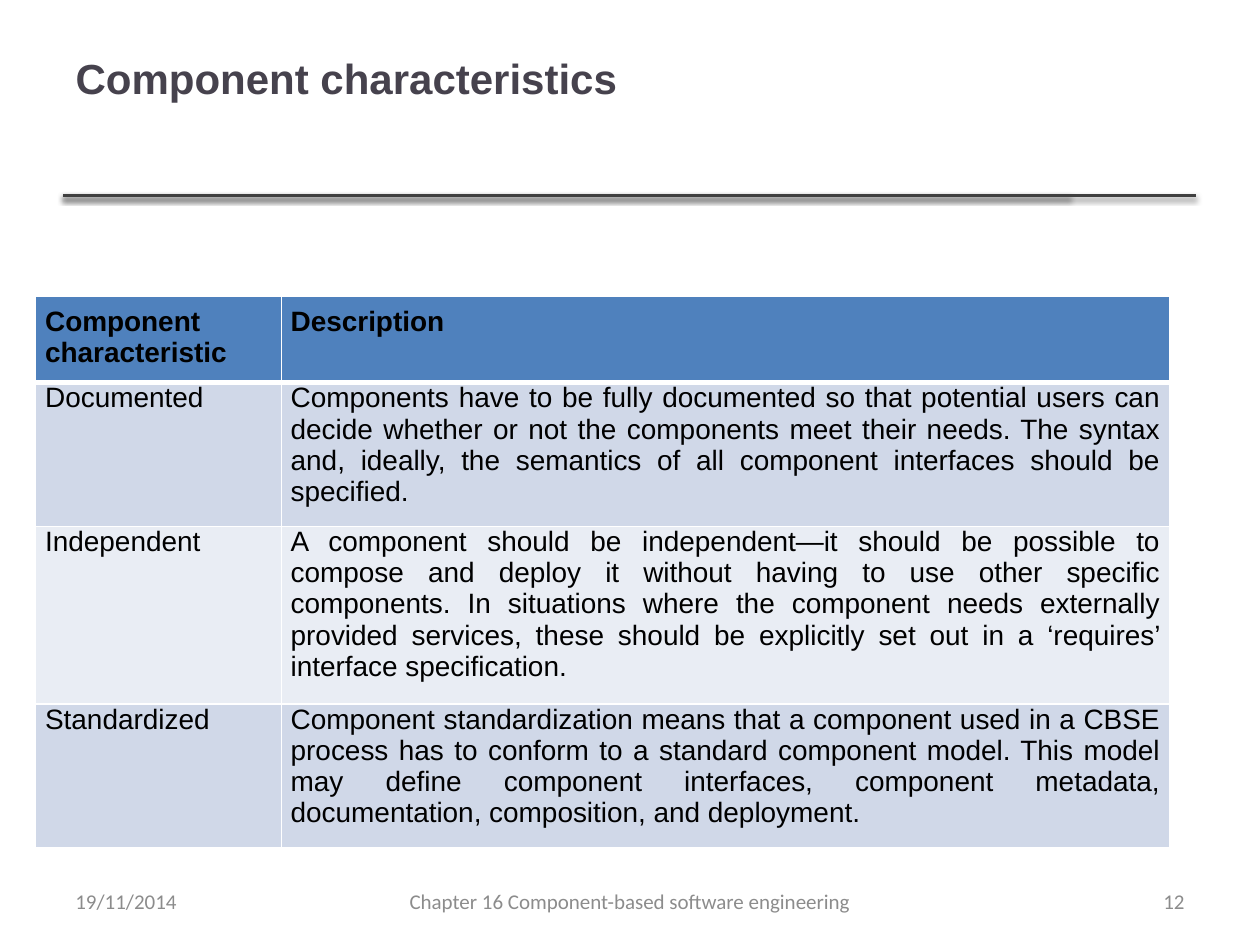
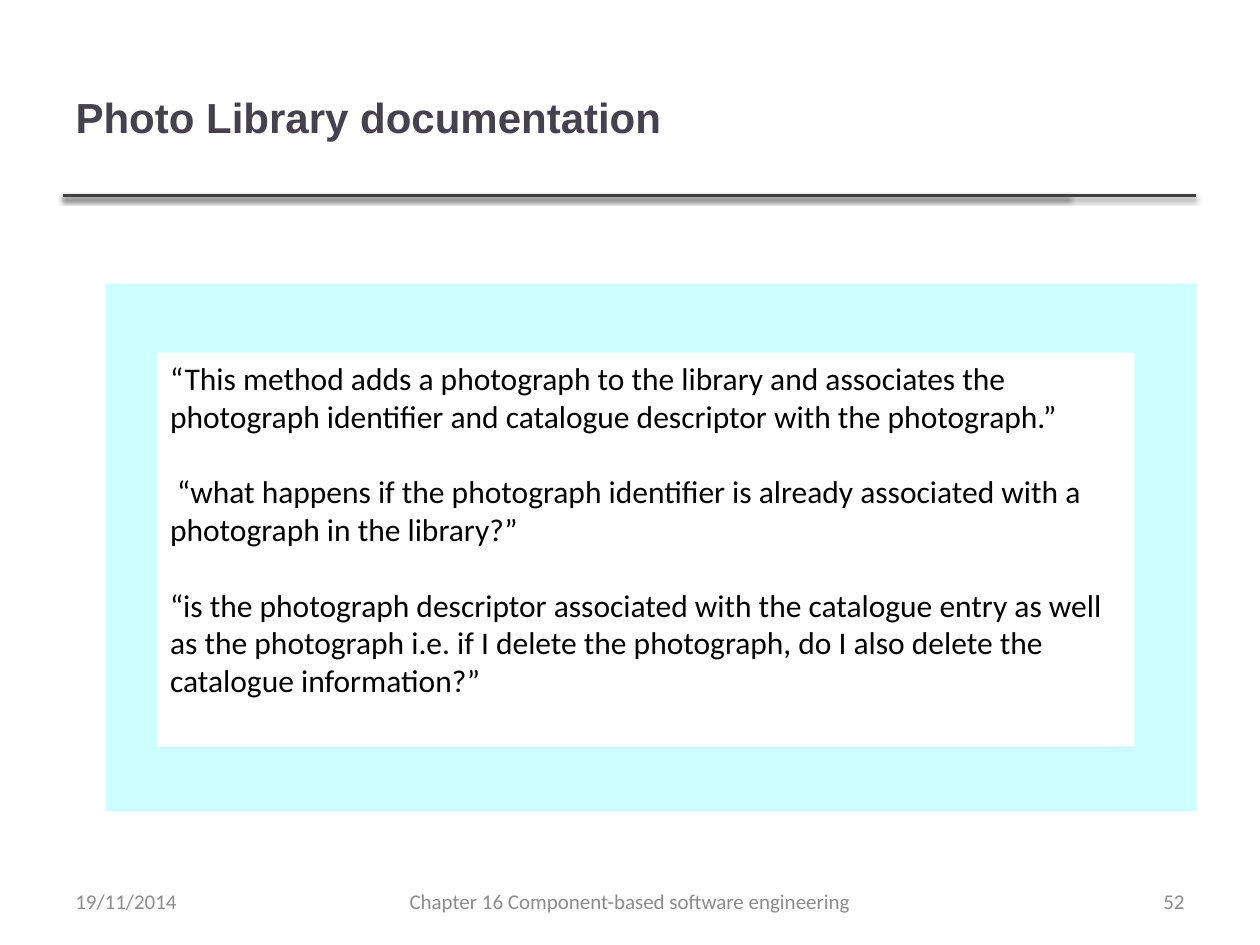
from dataclasses import dataclass

from lxml import etree
from pptx import Presentation
from pptx import util as u
from pptx.dml.color import RGBColor
from pptx.enum import shapes, text
from pptx.oxml import parse_xml
from pptx.oxml.ns import nsdecls, qn


@dataclass(frozen=True)
class Theme:
    heading_font: str = "Arial"
    body_font: str = "Calibri"
    heading: str = "46424D"
    rule: str = "404040"
    footer: str = "8C8C8C"
    ink: str = "000000"
    paper: str = "FFFFFF"
    header_row: str = "4F81BD"
    odd_row: str = "D0D8E8"
    even_row: str = "E9EDF4"
    panel: str = "CCFFFF"
    title_size: int = 24
    quote_size: int = 18
    table_size: int = 16
    footer_size: int = 12


theme = Theme()
Align = text.PP_ALIGN


def write(paragraph, words, font, size, color, bold=False, align=Align.LEFT):
    paragraph.text = words
    paragraph.alignment = align
    paragraph.font.name = font
    paragraph.font.size = u.Pt(size)
    paragraph.font.bold = bold
    paragraph.font.color.rgb = RGBColor.from_string(color)


def paint(part, color):
    part.fill.solid()
    part.fill.fore_color.rgb = RGBColor.from_string(color)


deck = Presentation()
deck.slide_width, deck.slide_height = u.Cm(25.4), u.Cm(19.05)
title_only = deck.slide_layouts[5]

pages = [
    ("Component characteristics", -0.03, 22.86, "12"),
    ("Photo Library documentation", 0.76, 20.27, "52"),
]
for heading, top, width, number in pages:
    slide = deck.slides.add_slide(title_only)

    for rule_end in (21.56, 24.1):
        rule = slide.shapes.add_connector(
            shapes.MSO_CONNECTOR.STRAIGHT,
            u.Cm(1.27), u.Cm(3.94), u.Cm(rule_end), u.Cm(3.94))
        rule.line.width = u.Pt(2)
        rule.line.color.rgb = RGBColor.from_string(theme.rule)
        rule._element.spPr.append(parse_xml(
            f'<a:effectLst {nsdecls("a")}>'
            '<a:outerShdw blurRad="39370" dist="20320" dir="5400000" rotWithShape="0">'
            f'<a:srgbClr val="{theme.ink}"><a:alpha val="38000"/></a:srgbClr>'
            '</a:outerShdw></a:effectLst>'))

    title = slide.shapes.title
    title.left, title.top = u.Cm(1.27), u.Cm(top)
    title.width, title.height = u.Cm(width), u.Cm(3.18)
    title.text_frame.vertical_anchor = text.MSO_ANCHOR.MIDDLE
    write(title.text_frame.paragraphs[0], heading, theme.heading_font,
          theme.title_size, theme.heading, bold=True)

    footers = [
        ("19/11/2014", 1.27, 5.93, Align.LEFT),
        ("Chapter 16 Component-based software engineering", 7.2, 11, Align.CENTER),
        (number, 18.2, 5.93, Align.RIGHT),
    ]
    for words, left, width, align in footers:
        footer = slide.shapes.add_textbox(
            u.Cm(left), u.Cm(17.65), u.Cm(width), u.Cm(1.02)).text_frame
        footer.word_wrap = True
        footer.vertical_anchor = text.MSO_ANCHOR.MIDDLE
        write(footer.paragraphs[0], words, theme.body_font,
              theme.footer_size, theme.footer, align=align)

characteristics_slide, documentation_slide = deck.slides

characteristics = [
    ("Component characteristic", "Description"),
    ("Documented",
     "Components have to be fully documented so that potential users can decide "
     "whether or not the components meet their needs. The syntax and, ideally, "
     "the semantics of all component interfaces should be specified."),
    ("Independent",
     "A component should be independent—it should be possible to compose and "
     "deploy it without having to use other specific components. In situations "
     "where the component needs externally provided services, these should be "
     "explicitly set out in a ‘requires’ interface specification."),
    ("Standardized",
     "Component standardization means that a component used in a CBSE process "
     "has to conform to a standard component model. This model may define "
     "component interfaces, component metadata, documentation, composition, "
     "and deployment."),
]
row_heights = [1.64, 2.71, 3.33, 2.71]
row_fills = [theme.header_row, theme.odd_row, theme.even_row, theme.odd_row]

table = characteristics_slide.shapes.add_table(
    len(characteristics), 2, u.Cm(0.72), u.Cm(5.98),
    u.Cm(22.86), u.Cm(sum(row_heights))).table
table.columns[0].width, table.columns[1].width = u.Cm(4.95), u.Cm(17.91)
for row_number, entry in enumerate(characteristics):
    is_header = row_number == 0
    table.rows[row_number].height = u.Cm(row_heights[row_number])
    for column, words in enumerate(entry):
        cell = table.cell(row_number, column)
        cell.margin_left = cell.margin_right = cell.margin_bottom = u.Cm(0.19)
        cell.margin_top = u.Cm(0.19 if is_header else 0)
        write(cell.text_frame.paragraphs[0], words, theme.heading_font,
              theme.table_size, theme.ink, is_header, Align.JUSTIFY)
        borders = cell._tc.get_or_add_tcPr()
        for side in ("lnL", "lnR", "lnT", "lnB"):
            below_header = (row_number, side) in ((0, "lnB"), (1, "lnT"))
            border = etree.SubElement(borders, qn(f"a:{side}"),
                                      w=str(u.Pt(3 if below_header else 1)))
            ink = etree.SubElement(border, qn("a:solidFill"))
            etree.SubElement(ink, qn("a:srgbClr"), val=theme.paper)
        paint(cell, row_fills[row_number])

boxes = [
    (2.13, 5.72, 22, 10.64, theme.panel),
    (3.18, 7.11, 19.69, 7.95, theme.paper),
]
for left, top, width, height, color in boxes:
    box = documentation_slide.shapes.add_shape(
        shapes.MSO_SHAPE.RECTANGLE, u.Cm(left), u.Cm(top), u.Cm(width), u.Cm(height))
    box.shadow.inherit = False
    box.line.fill.background()
    paint(box, color)

quotes = [
    "“This method adds a photograph to the library and associates the photograph "
    "identifier and catalogue descriptor with the photograph.”",
    " “what happens if the photograph identifier is already associated with a "
    "photograph in the library?”",
    "“is the photograph descriptor associated with the catalogue entry as well as "
    "the photograph i.e. if I delete the photograph, do I also delete the "
    "catalogue information?”",
]
quote_frame = box.text_frame
quote_frame.word_wrap = True
quote_frame.vertical_anchor = text.MSO_ANCHOR.TOP
for position, quote in enumerate(quotes):
    paragraph = quote_frame.add_paragraph() if position else quote_frame.paragraphs[0]
    write(paragraph, quote, theme.body_font, theme.quote_size, theme.ink)
    paragraph.space_after = u.Pt(21.6)

deck.save("out.pptx")
